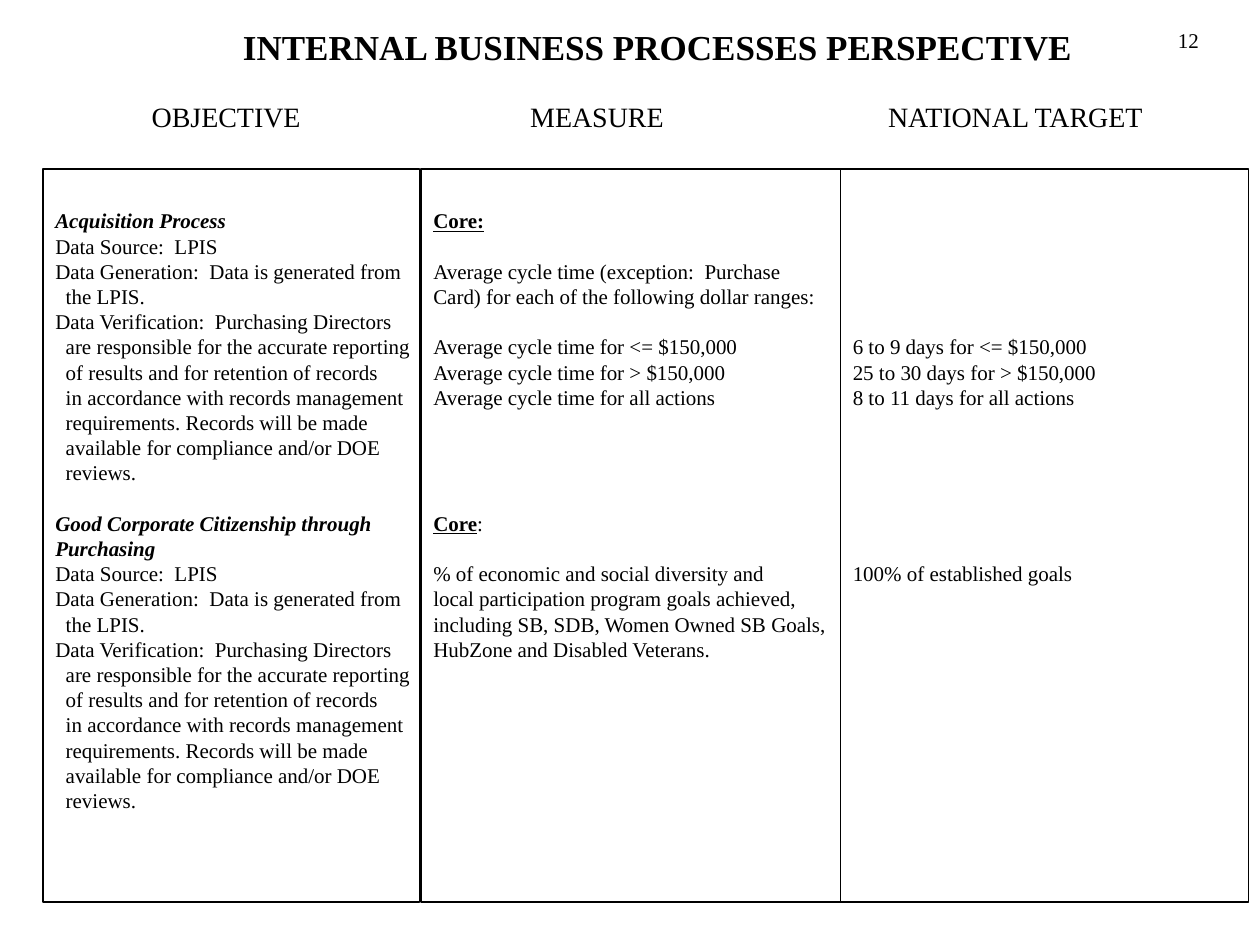
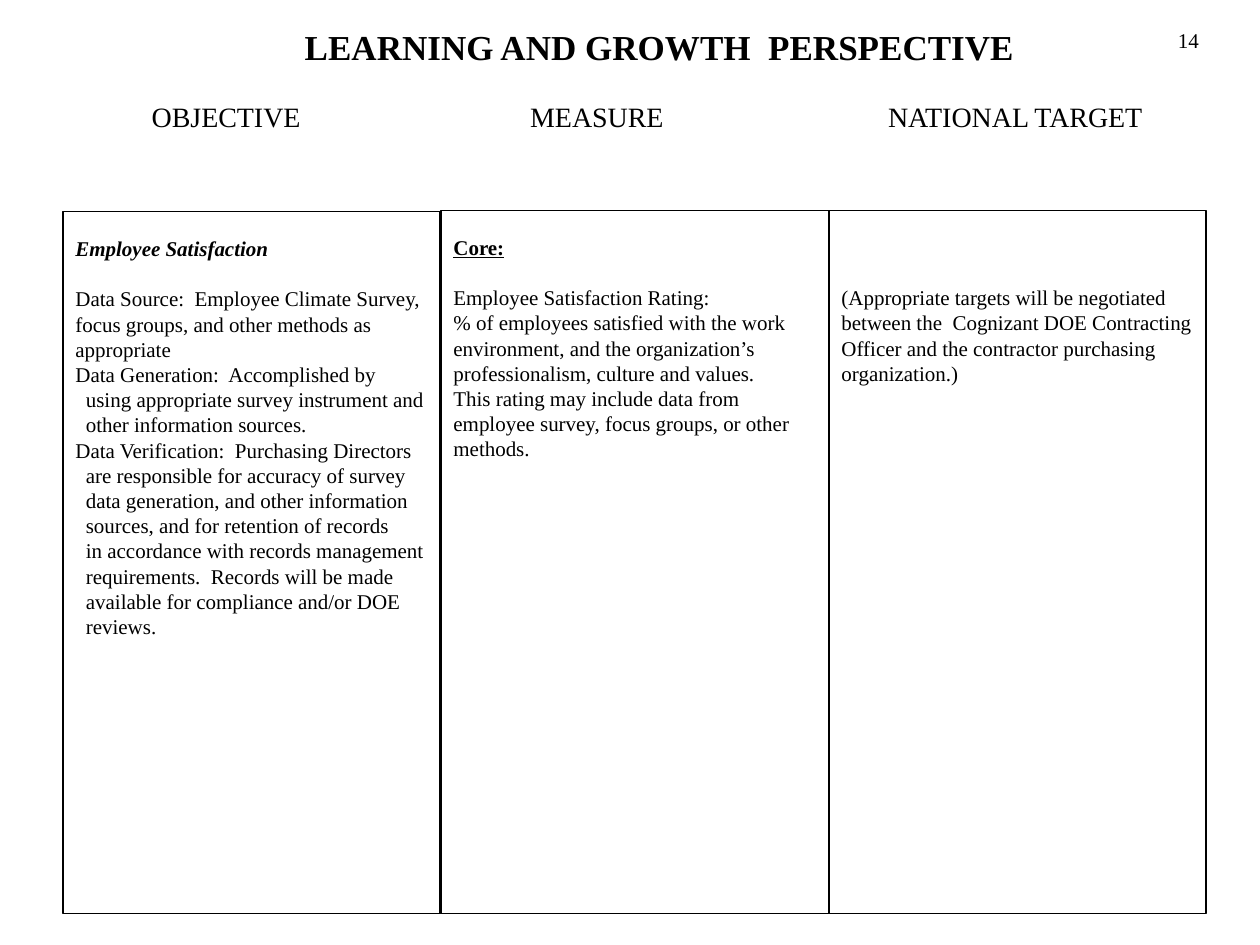
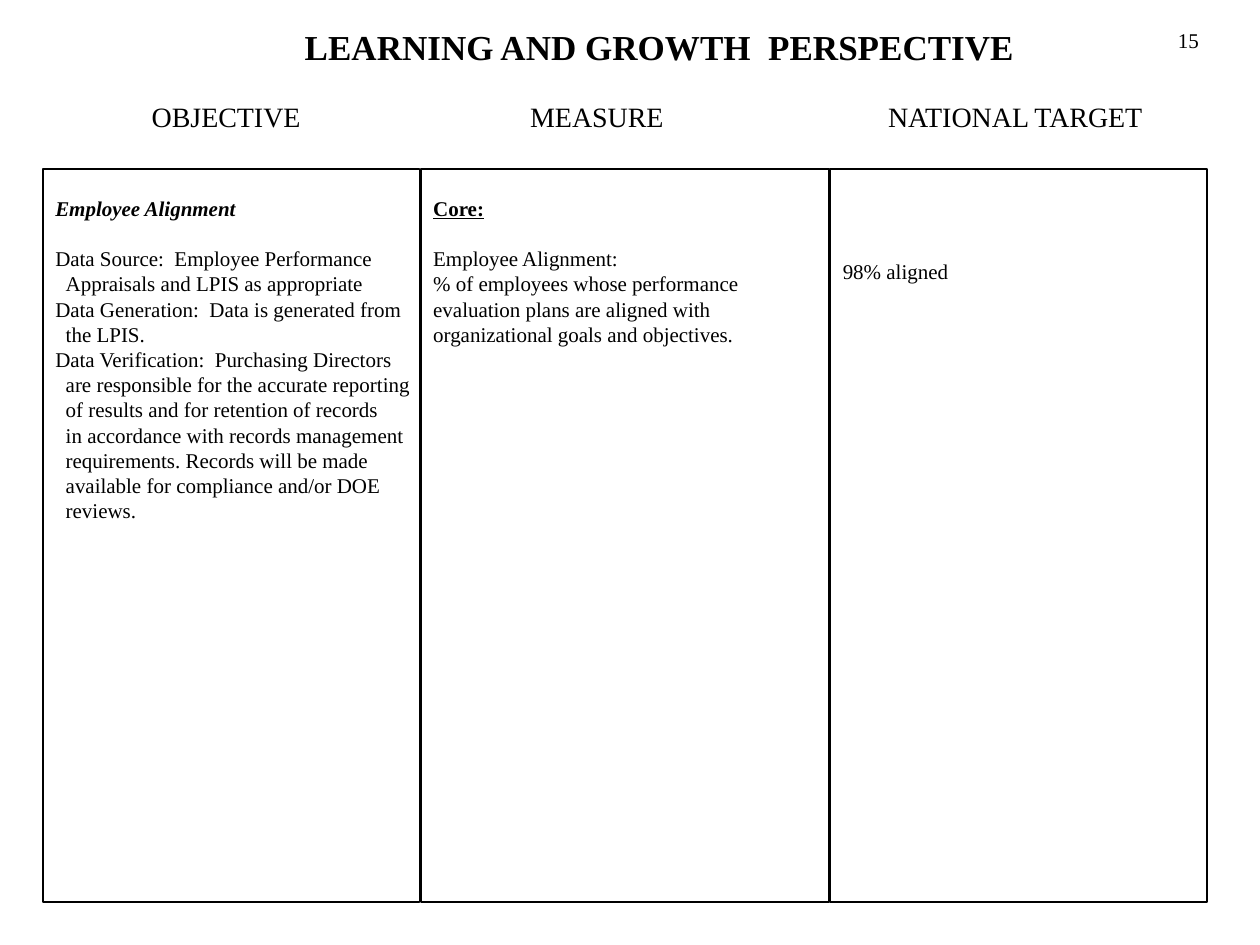
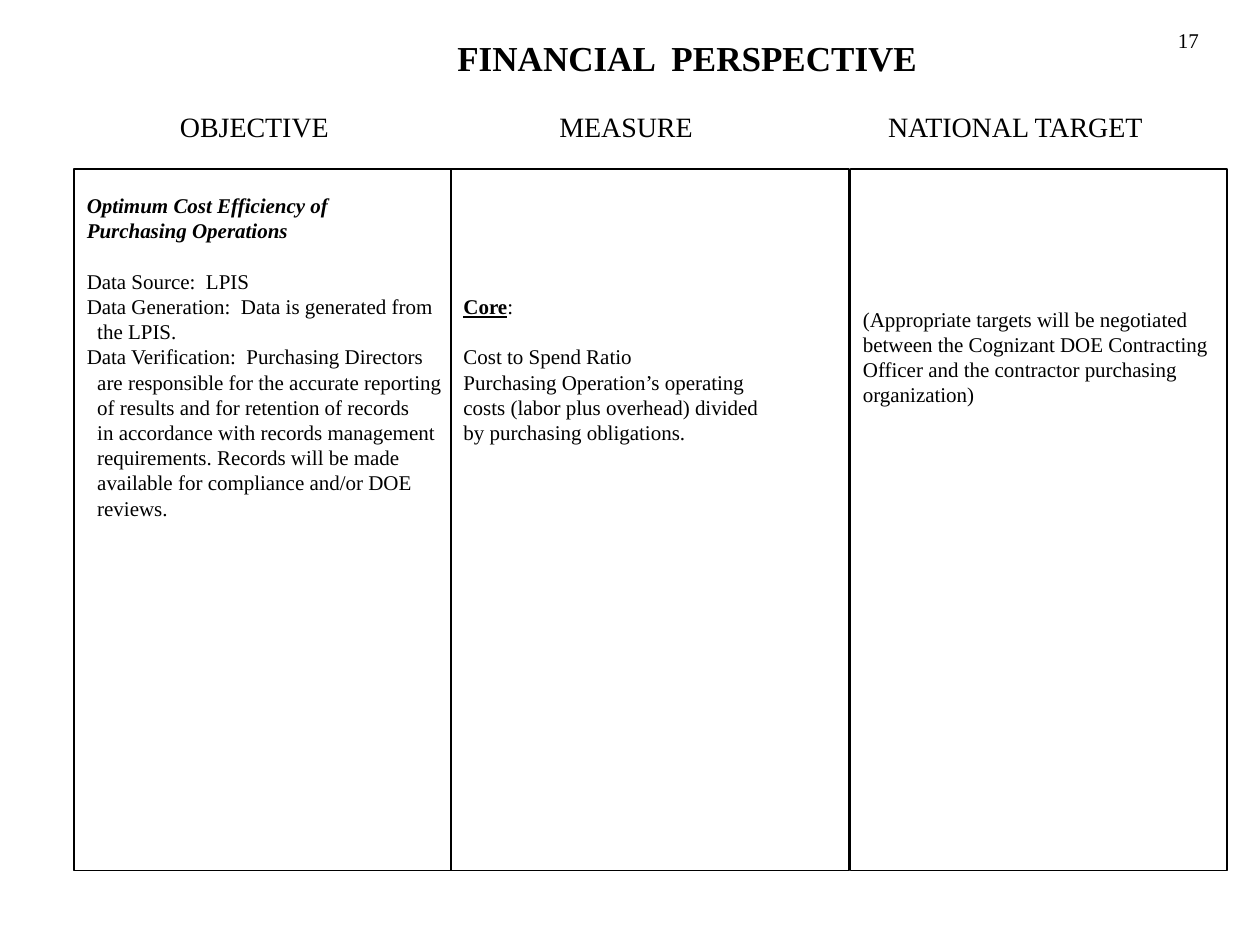
from dataclasses import dataclass
from enum import Enum

import pptx
import pptx.dml.color
import pptx.enum.shapes
import pptx.enum.text
import pptx.oxml
import pptx.oxml.ns
import pptx.util

WIDTH, HEIGHT = 10, 7.5
GRID_COLUMNS, GRID_ROWS = 100, 75
FONT = "Times New Roman"
INK, PAPER = "000000", "FFFFFF"
TITLE_SIZE, HEADING_SIZE, BODY_SIZE = 20, 16, 12
LINE_PITCH = 14.4
HANGING_INDENT = 0.83
SIDE_INSET, TOP_INSET = 1, 0.5
LEFT = pptx.enum.text.PP_ALIGN.LEFT
CENTER = pptx.enum.text.PP_ALIGN.CENTER


class Style(Enum):
    PLAIN = "plain"
    OBJECTIVE = "objective"
    CORE = "core"


@dataclass(frozen=True)
class Area:
    column: float
    row: float
    columns: float
    rows: float


@dataclass(frozen=True)
class Line:
    text: str
    style: Style = Style.PLAIN
    gap: int = 0
    indented: bool = False
    tail: str = ""


@dataclass(frozen=True)
class Panel:
    area: Area
    text_row: float
    lines: list[Line]


@dataclass(frozen=True)
class Perspective:
    title: str
    title_area: Area
    headings_area: Area
    heading_columns: tuple[float, float, float]
    page: str
    panels: list[Panel]
    title_alignment: pptx.enum.text.PP_ALIGN = LEFT


def across(columns: float) -> pptx.util.Emu:
    return pptx.util.Inches(columns * WIDTH / GRID_COLUMNS)


def down(rows: float) -> pptx.util.Emu:
    return pptx.util.Inches(rows * HEIGHT / GRID_ROWS)


def color(value: str) -> pptx.dml.color.RGBColor:
    return pptx.dml.color.RGBColor.from_string(value)


def place(area: Area) -> tuple:
    return across(area.column), down(area.row), across(area.columns), down(area.rows)


def block(*texts: str, gap: int = 0, style: Style = Style.PLAIN, hanging: bool = False) -> list[Line]:
    return [
        Line(text, style, 0 if index else gap, hanging and index > 0)
        for index, text in enumerate(texts)
    ]


def objective(*texts: str, gap: int = 0) -> list[Line]:
    return block(*texts, gap=gap, style=Style.OBJECTIVE)


def entry(*texts: str, gap: int = 0) -> list[Line]:
    return block(*texts, gap=gap, hanging=True)


CORE = [Line("Core:", Style.CORE)]
LPIS_SOURCE = "Data Source:  LPIS"
RECORDS_LINES = ("available for compliance and/or DOE", "reviews.")
LPIS_RECORDS = entry("Data Generation:  Data is generated from", "the LPIS.") + entry(
    "Data Verification:  Purchasing Directors",
    "are responsible for the accurate reporting",
    "of results and for retention of records",
    "in accordance with records management",
    "requirements. Records will be made",
    *RECORDS_LINES,
)
LEARNING = "LEARNING AND GROWTH  PERSPECTIVE"
LEARNING_AREA = Area(23.2, 1.5, 60.2, 4.3)
HEADINGS = ("OBJECTIVE", "MEASURE", "NATIONAL TARGET")
HEADING_COLUMNS = (5.56, 35.6, 64)
PAGE_AREA = Area(92.5, 1.7, 5, 3)

PERSPECTIVES = [
    Perspective(
        "INTERNAL BUSINESS PROCESSES PERSPECTIVE",
        Area(18.3, 1.5, 68.3, 4.3),
        Area(5.5, 7.4, 92.9, 3.6),
        HEADING_COLUMNS,
        "12",
        [
            Panel(
                Area(3.4, 13.4, 29.9, 58.2),
                3.1,
                objective("Acquisition Process")
                + entry(LPIS_SOURCE)
                + LPIS_RECORDS
                + objective("Good Corporate Citizenship through", "Purchasing", gap=1)
                + entry(LPIS_SOURCE)
                + LPIS_RECORDS,
            ),
            Panel(
                Area(33.4, 13.4, 34.9, 58.2),
                3.1,
                CORE
                + block(
                    "Average cycle time (exception:  Purchase",
                    "Card) for each of the following dollar ranges:",
                    gap=1,
                )
                + block(
                    "Average cycle time for <= $150,000",
                    "Average cycle time for > $150,000",
                    "Average cycle time for all actions",
                    gap=1,
                )
                + [Line("Core", Style.CORE, gap=4, tail=":")]
                + block(
                    "% of economic and social diversity and",
                    "local participation program goals achieved,",
                    "including SB, SDB, Women Owned SB Goals,",
                    "HubZone and Disabled Veterans.",
                    gap=1,
                ),
            ),
            Panel(
                Area(66.7, 13.4, 32.4, 58.2),
                13.1,
                block(
                    "6 to 9 days for <= $150,000",
                    "25 to 30 days for > $150,000",
                    "8 to 11 days for all actions",
                )
                + block("100% of established goals", gap=6),
            ),
        ],
    ),
    Perspective(
        LEARNING,
        LEARNING_AREA,
        Area(5.5, 7.4, 90.4, 3.6),
        HEADING_COLUMNS,
        "14",
        [
            Panel(
                Area(5, 16.8, 29.9, 55.7),
                1.9,
                objective("Employee Satisfaction")
                + block(
                    "Data Source:  Employee Climate Survey,",
                    "focus groups, and other methods as",
                    "appropriate",
                    gap=1,
                )
                + entry(
                    "Data Generation:  Accomplished by",
                    "using appropriate survey instrument and",
                    "other information sources.",
                )
                + entry(
                    "Data Verification:  Purchasing Directors",
                    "are responsible for accuracy of survey",
                    "data generation, and other information",
                    "sources, and for retention of records",
                    "in accordance with records management",
                    "requirements.  Records will be made",
                    *RECORDS_LINES,
                ),
            ),
            Panel(
                Area(35, 16.7, 30.8, 55.8),
                1.9,
                CORE
                + block(
                    "Employee Satisfaction Rating:",
                    "% of employees satisfied with the work",
                    "environment, and the organization’s",
                    "professionalism, culture and values.",
                    "This rating may include data from",
                    "employee survey, focus groups, or other",
                    "methods.",
                    gap=1,
                ),
            ),
            Panel(
                Area(65.8, 16.7, 29.9, 55.8),
                5.9,
                block(
                    "(Appropriate targets will be negotiated",
                    "between the  Cognizant DOE Contracting",
                    "Officer and the contractor purchasing",
                    "organization.)",
                ),
            ),
        ],
    ),
    Perspective(
        LEARNING,
        LEARNING_AREA,
        Area(5.5, 7.4, 90.4, 3.6),
        HEADING_COLUMNS,
        "15",
        [
            Panel(
                Area(3.4, 13.4, 29.9, 58.2),
                2.1,
                objective("Employee Alignment")
                + entry(
                    "Data Source:  Employee Performance",
                    "Appraisals and LPIS as appropriate",
                    gap=1,
                )
                + LPIS_RECORDS,
            ),
            Panel(
                Area(33.4, 13.4, 32.4, 58.2),
                2.1,
                CORE
                + block(
                    "Employee Alignment:",
                    "% of employees whose performance",
                    "evaluation plans are aligned with",
                    "organizational goals and objectives.",
                    gap=1,
                ),
            ),
            Panel(Area(65.9, 13.4, 29.9, 58.2), 7.1, block("98% aligned")),
        ],
    ),
    Perspective(
        "FINANCIAL  PERSPECTIVE",
        Area(25.7, 2.4, 57.7, 4.3),
        Area(5.5, 8.2, 92.1, 3.6),
        (7.8, 37.9, 64),
        "17",
        [
            Panel(
                Area(5.9, 13.4, 29.9, 55.7),
                1.9,
                objective("Optimum Cost Efficiency of", "Purchasing Operations")
                + entry(LPIS_SOURCE, gap=1)
                + LPIS_RECORDS,
            ),
            Panel(
                Area(35.8, 13.4, 31.6, 55.7),
                9.9,
                [Line("Core", Style.CORE, tail=":")]
                + block(
                    "Cost to Spend Ratio",
                    "Purchasing Operation’s operating",
                    "costs (labor plus overhead) divided",
                    "by purchasing obligations.",
                    gap=1,
                ),
            ),
            Panel(
                Area(67.5, 13.4, 29.9, 55.7),
                10.9,
                block(
                    "(Appropriate targets will be negotiated",
                    "between the Cognizant DOE Contracting",
                    "Officer and the contractor purchasing",
                    "organization)",
                ),
            ),
        ],
        CENTER,
    ),
]


def format_font(font, size: float, bold: bool = False) -> None:
    font.name = FONT
    font.size = pptx.util.Pt(size)
    font.bold = bold
    font.color.rgb = color(INK)


def set_insets(frame, top: float = TOP_INSET, right: float = SIDE_INSET) -> None:
    frame.margin_left, frame.margin_right = across(SIDE_INSET), across(right)
    frame.margin_top, frame.margin_bottom = down(top), down(TOP_INSET)


def add_label(slide, area: Area, text: str, size: float, bold: bool = False,
              alignment: pptx.enum.text.PP_ALIGN = LEFT, tabs: tuple[float, ...] = ()) -> None:
    frame = slide.shapes.add_textbox(*place(area)).text_frame
    frame.word_wrap = True
    frame.auto_size = pptx.enum.text.MSO_AUTO_SIZE.SHAPE_TO_FIT_TEXT
    set_insets(frame)
    paragraph = frame.paragraphs[0]
    paragraph.text = text
    paragraph.alignment = alignment
    if tabs:
        stops = pptx.oxml.parse_xml(f"<a:tabLst {pptx.oxml.ns.nsdecls('a')}/>")
        for column in tabs:
            stop = pptx.oxml.parse_xml(f"<a:tab {pptx.oxml.ns.nsdecls('a')} algn='l'/>")
            stop.set("pos", str(across(column)))
            stops.append(stop)
        paragraph._p.get_or_add_pPr().append(stops)
    for run in paragraph.runs:
        format_font(run.font, size, bold)


def write_line(paragraph, line: Line) -> None:
    paragraph.text = line.text
    paragraph.alignment = LEFT
    if line.gap:
        paragraph.space_before = pptx.util.Pt(line.gap * LINE_PITCH)
    if line.indented:
        paragraph._p.get_or_add_pPr().set("marL", str(across(HANGING_INDENT)))
    font = paragraph.runs[0].font
    format_font(font, BODY_SIZE, line.style is not Style.PLAIN)
    font.italic = line.style is Style.OBJECTIVE
    font.underline = line.style is Style.CORE
    if line.tail:
        tail = paragraph.add_run()
        tail.text = line.tail
        format_font(tail.font, BODY_SIZE)


def add_panel(slide, panel: Panel) -> None:
    box = slide.shapes.add_shape(pptx.enum.shapes.MSO_SHAPE.RECTANGLE, *place(panel.area))
    box.shadow.inherit = False
    box.fill.solid()
    box.fill.fore_color.rgb = color(PAPER)
    box.line.color.rgb = color(INK)
    box.line.width = pptx.util.Pt(1)
    frame = box.text_frame
    frame.word_wrap = True
    frame.vertical_anchor = pptx.enum.text.MSO_ANCHOR.TOP
    set_insets(frame, top=panel.text_row, right=0)
    frame.text = "\n".join(line.text for line in panel.lines)
    for paragraph, line in zip(frame.paragraphs, panel.lines):
        write_line(paragraph, line)


def add_perspective(deck, perspective: Perspective) -> None:
    slide = deck.slides.add_slide(deck.slide_layouts[6])
    for panel in perspective.panels:
        add_panel(slide, panel)
    add_label(slide, perspective.title_area, perspective.title, TITLE_SIZE,
              bold=True, alignment=perspective.title_alignment)
    add_label(slide, perspective.headings_area, "".join(f"\t{heading}" for heading in HEADINGS),
              HEADING_SIZE, tabs=perspective.heading_columns)
    add_label(slide, PAGE_AREA, perspective.page, BODY_SIZE)


def main() -> None:
    deck = pptx.Presentation()
    deck.slide_width = pptx.util.Inches(WIDTH)
    deck.slide_height = pptx.util.Inches(HEIGHT)
    for perspective in PERSPECTIVES:
        add_perspective(deck, perspective)
    deck.save("out.pptx")


if __name__ == "__main__":
    main()
